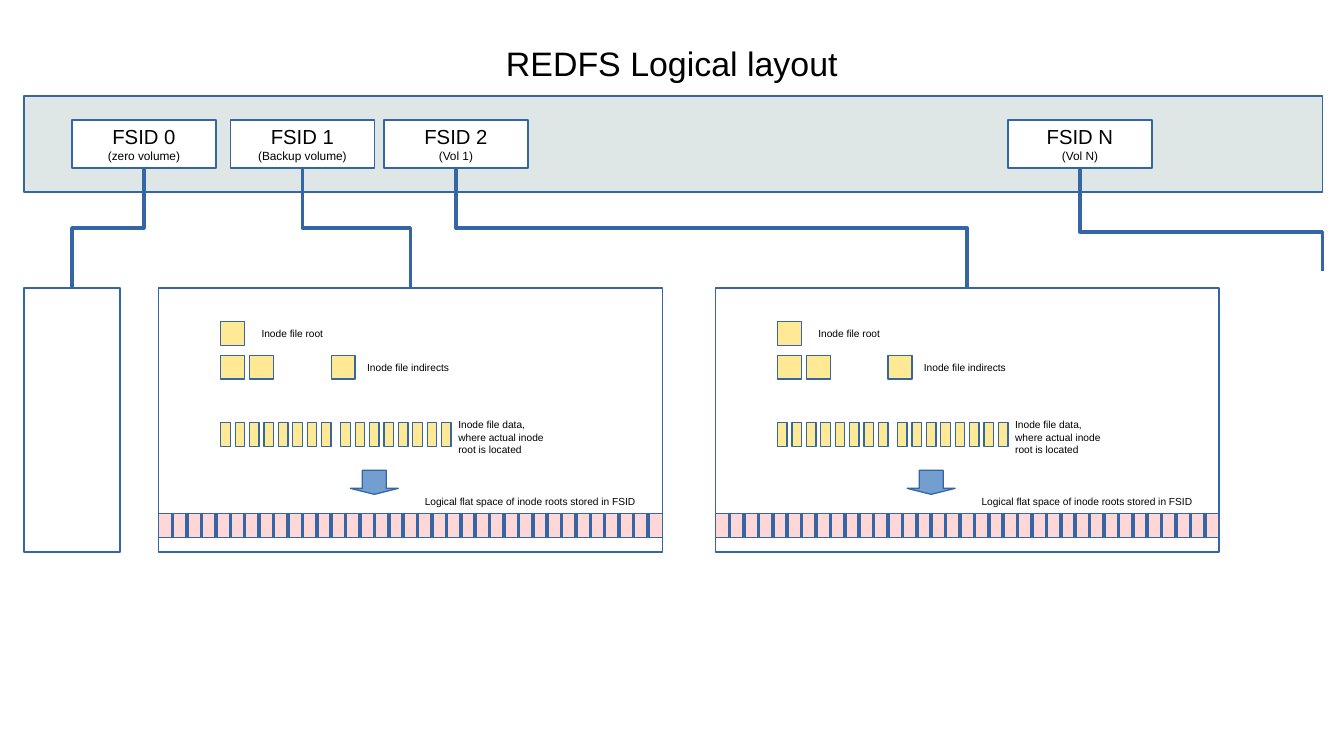
"""Build the REDFS logical layout slide."""
from lxml import etree
from pptx import Presentation
from pptx import util as u
from pptx.dml.color import RGBColor
from pptx.enum import shapes as s, text as t
from pptx.oxml.ns import qn

THEME = {
    "font": "Arial", "title": 20, "volume": 12, "note": 7, "label": 6,
    "text": "000000", "line": "3465A4", "band": "DEE7E5", "box": "FFFFFF",
    "inode": "FFE994", "roots": "FFD7D7", "arrow": "729FCF",
}
TITLE = "REDFS Logical layout"
VOLUMES = [
    ("FSID 0", "(zero volume)", 1.5),
    ("FSID 1", "(Backup volume)", 4.8),
    ("FSID 2", "(Vol 1)", 8.0),
    ("FSID N", "(Vol N)", 21.0),
]
PANEL_LEFTS = [3.3, 14.9]
PANEL_TOP, PANEL_WIDTH, PANEL_HEIGHT = 6.0, 10.5, 5.5
INODE_SIZE, PITCH = 0.5, 0.3
INODE_BLOCKS = [(1.3, 0.7), (1.3, 1.4), (1.9, 1.4), (3.6, 1.4)]
DATA_GROUPS, DATA_PER_GROUP, DATA_TOP = [1.3, 3.8], 8, 2.8
ROOTS_TOP = 4.7
LABELS = [
    ("Inode file root", 1.9, 0.7, 2.5, 0.48),
    ("Inode file indirects", 4.1, 1.4, 2.5, 0.48),
    ("Inode file data, where actual inode root is located", 6.0, 2.6, 2.5, 0.97),
    ("Logical flat space of inode roots stored in FSID", 5.3, 4.2, 5.2, 0.5),
]
OPEN_END = (27.55, 5.65)

presentation = Presentation()
presentation.slide_width, presentation.slide_height = u.Cm(28), u.Cm(15.75)
slide = presentation.slides.add_slide(presentation.slide_layouts[6])


def apply(target, values):
    for name, value in values.items():
        setattr(target, name, value)


def color(name):
    return RGBColor.from_string(THEME[name])


def write(shape, lines, align, anchor, inset=None):
    frame = shape.text_frame
    apply(frame, {"word_wrap": True, "vertical_anchor": anchor})
    if inset is not None:
        apply(frame, {f"margin_{side}": inset for side in ("left", "top", "right", "bottom")})
    for index, (words, size) in enumerate(lines):
        paragraph = frame.paragraphs[0] if index == 0 else frame.add_paragraph()
        paragraph.alignment = align
        run = paragraph.add_run()
        run.text = words
        apply(run.font, {"name": THEME["font"], "size": u.Pt(THEME[size])})
        run.font.color.rgb = color("text")


def outline(shape):
    shape.line.color.rgb = color("line")
    shape.line.width = u.Pt(0)


def add_box(left, top, width, height, fill, kind=s.MSO_SHAPE.RECTANGLE):
    shape = slide.shapes.add_shape(kind, *map(u.Cm, (left, top, width, height)))
    shape.shadow.inherit = False
    shape.fill.solid()
    shape.fill.fore_color.rgb = color(fill)
    outline(shape)
    return shape


def add_label(words, size, left, top, width, height, align, anchor, inset=None):
    label = slide.shapes.add_textbox(*map(u.Cm, (left, top, width, height)))
    write(label, [(words, size)], align, anchor, inset)


def add_line(kind, *ends):
    line = slide.shapes.add_connector(kind, *map(u.Cm, ends))
    outline(line)
    etree.SubElement(line._element.spPr, qn("a:effectLst"))
    return line


def add_elbow(volume, panel=None, end=None, bend=0.5):
    x1, y1 = volume.left + volume.width // 2, volume.top + volume.height
    x2, y2 = end or (panel.left + panel.width // 2, panel.top)
    elbow = add_line(s.MSO_CONNECTOR.ELBOW, 0, 0, 1, 1)
    elbow.begin_connect(volume, 2)
    if panel is not None:
        elbow.end_connect(panel, 0)
    drop, reach = y2 - y1, abs(x2 - x1)
    apply(elbow, {"left": (x1 + x2 - drop) // 2, "top": (y1 + y2 - reach) // 2,
                  "width": drop, "height": reach})
    frame = elbow._element.spPr.find(qn("a:xfrm"))
    for name in ("flipH", "flipV"):
        frame.attrib.pop(name, None)
    frame.set("rot", str((270 if x2 > x1 else 90) * 60000))
    if x2 > x1:
        frame.set("flipH", "1")
    guides = elbow._element.spPr.find(qn("a:prstGeom")).find(qn("a:avLst"))
    etree.SubElement(guides, qn("a:gd"), name="adj1", fmla=f"val {round(bend * 100000)}")


def add_panel(left):
    panel = add_box(left, PANEL_TOP, PANEL_WIDTH, PANEL_HEIGHT, "box")
    roots_top = PANEL_TOP + ROOTS_TOP
    add_box(left, roots_top, PANEL_WIDTH, INODE_SIZE, "roots")
    for index in range(1, round(PANEL_WIDTH / PITCH)):
        x = left + index * PITCH
        add_line(s.MSO_CONNECTOR.STRAIGHT, x, roots_top + INODE_SIZE, x, roots_top)
    for x, y in INODE_BLOCKS:
        add_box(left + x, PANEL_TOP + y, INODE_SIZE, INODE_SIZE, "inode")
    for start in DATA_GROUPS:
        for index in range(DATA_PER_GROUP):
            add_box(left + start + index * PITCH, PANEL_TOP + DATA_TOP, 0.2, INODE_SIZE, "inode")
    for words, x, y, width, height in LABELS:
        add_label(words, "label", left + x, PANEL_TOP + y, width, height,
                  t.PP_ALIGN.LEFT, t.MSO_ANCHOR.TOP)
    arrow = add_box(left + 4, PANEL_TOP + 3.8, 1, 0.5, "arrow", s.MSO_SHAPE.DOWN_ARROW)
    arrow.adjustments[0], arrow.adjustments[1] = 0.5, 0.25
    return panel


def add_volume(name, note, left):
    volume = add_box(left, 2.5, 3, 1, "box")
    write(volume, [(name, "volume"), (note, "note")], t.PP_ALIGN.CENTER, t.MSO_ANCHOR.MIDDLE)
    return volume


add_box(0.5, 2, 27.05, 2, "band")
add_label(TITLE, "title", 1.4, 0.63, 25.2, 1.37, t.PP_ALIGN.CENTER, t.MSO_ANCHOR.MIDDLE, 0)
volumes = [add_volume(*volume) for volume in VOLUMES]
zero_panel = add_box(0.5, PANEL_TOP, 2, PANEL_HEIGHT, "box")
panels = [zero_panel] + [add_panel(left) for left in PANEL_LEFTS]
for volume, panel in zip(volumes, panels):
    add_elbow(volume, panel)
add_elbow(volumes[-1], end=tuple(map(u.Cm, OPEN_END)), bend=0.62)
presentation.save("out.pptx")
